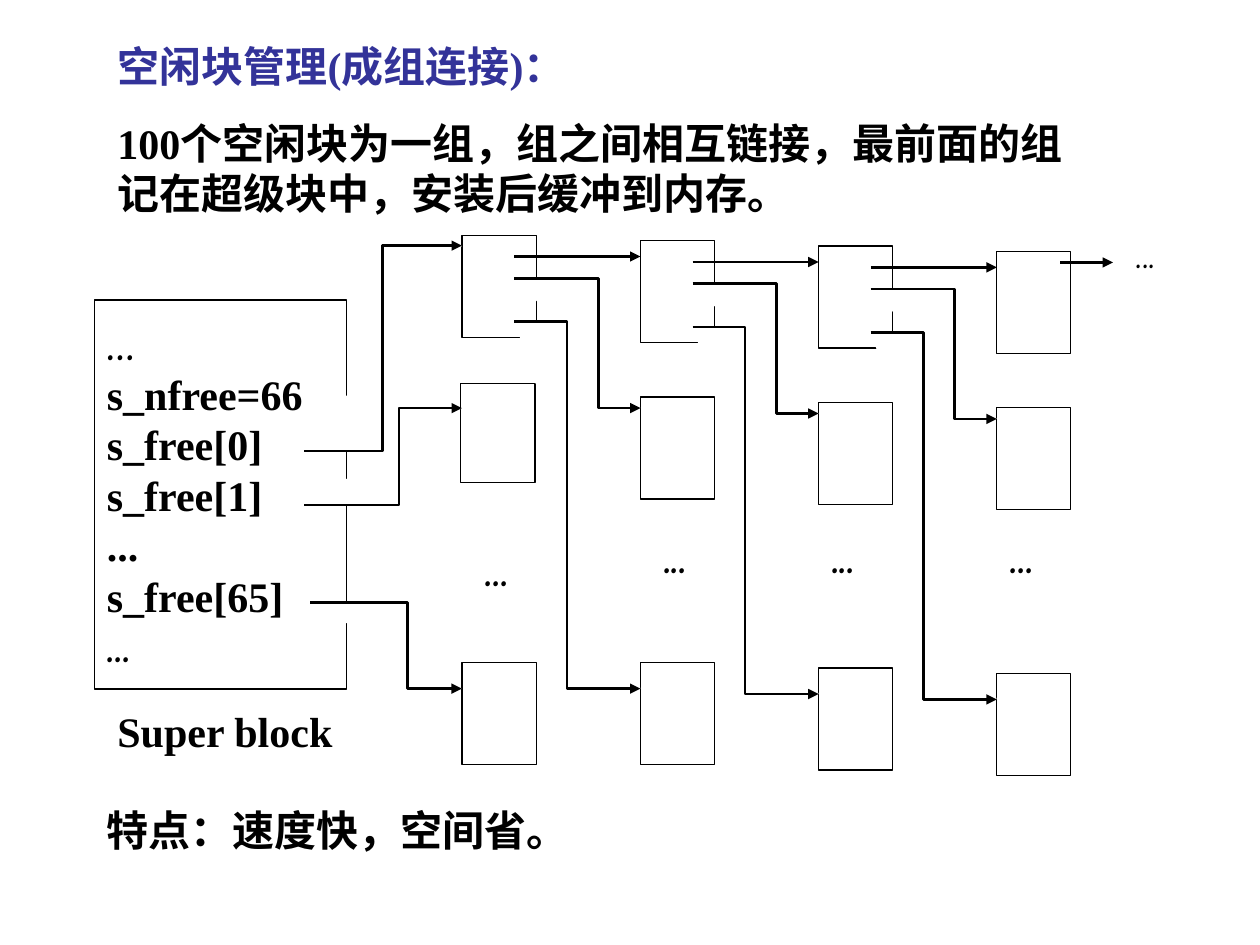
from dataclasses import dataclass
from typing import NamedTuple

from lxml.etree import SubElement
from pptx import Presentation
from pptx.dml.color import RGBColor
from pptx.enum.shapes import MSO_CONNECTOR, MSO_SHAPE
from pptx.enum.text import MSO_ANCHOR, MSO_AUTO_SIZE, PP_ALIGN
from pptx.oxml.ns import qn
from pptx.util import Pt


@dataclass(frozen=True)
class Theme:
    heading: RGBColor = RGBColor(0x33, 0x33, 0x99)
    ink: RGBColor = RGBColor(0, 0, 0)
    paper: RGBColor = RGBColor(255, 255, 255)
    text_font: str = "Times New Roman"
    dots_font: str = "Comic Neue"
    text_size: float = 24
    border: float = 0.75
    arrow: float = 1.5


class Box(NamedTuple):
    left: float
    top: float
    width: float
    height: float


class Line(NamedTuple):
    text: str
    font: str
    bold: bool = True


class Elbow(NamedTuple):
    start_x: float
    start_y: float
    bend_x: float
    end_x: float
    end_y: float

    def moved(self, right: float, down: float) -> "Elbow":
        return Elbow(self.start_x + right, self.start_y + down,
                     self.bend_x + right, self.end_x + right, self.end_y + down)


THEME = Theme()
COLUMN_PITCH = 101.8
COLUMN_DROP = 3.1
BLOCK_LEFT, BLOCK_WIDTH, BLOCK_HEIGHT = 264, 42.5, 58.3
TOP_ROW, MIDDLE_ROW, BOTTOM_ROW = 134.4, 226.8, 378.6
DOTS_WIDTH = DOTS_HEIGHT = 36

SUPER_BLOCK_LINES = [
    Line("…", THEME.dots_font),
    *[Line(text, THEME.text_font)
      for text in ("s_nfree=66", "s_free[0]", "s_free[1]", "...", "s_free[65]")],
    Line("...", THEME.dots_font),
]
SUPER_BLOCK_ELBOWS = [
    Elbow(173.8, 257.7, 218.8, 264, 140.4),
    Elbow(173.8, 288.5, 228, 264, 233.2),
    Elbow(177.2, 344.2, 233, 264, 393.5),
]
GROUP_ELBOWS = [
    Elbow(294, 159, 342, 366, 233.2),
    Elbow(294, 183.7, 324, 366, 393.5),
]


def apply_format(target, values: dict) -> None:
    for name, value in values.items():
        setattr(target, name, value)


def place(shape, box: Box) -> None:
    apply_format(shape, {name: Pt(value) for name, value in box._asdict().items()})


def write(shape, lines: list[Line], color: RGBColor = THEME.ink,
          anchor: MSO_ANCHOR = MSO_ANCHOR.TOP) -> None:
    frame = shape.text_frame
    apply_format(frame, {
        "word_wrap": True, "auto_size": MSO_AUTO_SIZE.NONE, "vertical_anchor": anchor,
        "margin_left": Pt(7.2), "margin_right": Pt(7.2),
        "margin_top": Pt(3.6), "margin_bottom": Pt(3.6),
    })
    for index, line in enumerate(lines):
        paragraph = frame.add_paragraph() if index else frame.paragraphs[0]
        paragraph.alignment = PP_ALIGN.LEFT
        run = paragraph.add_run()
        run.text = line.text
        apply_format(run.font, {
            "name": line.font, "size": Pt(THEME.text_size), "bold": line.bold})
        run.font.color.rgb = color


def add_text(slide, box: Box, line: Line) -> None:
    write(slide.shapes.add_textbox(*map(Pt, box)), [line])


def add_dots(slide, left: float, top: float, bold: bool = True) -> None:
    add_text(slide, Box(left, top, DOTS_WIDTH, DOTS_HEIGHT),
             Line("...", THEME.dots_font, bold))


def set_line(shape, width: float) -> None:
    shape.line.color.rgb = THEME.ink
    shape.line.width = Pt(width)


def add_arrowhead(shape) -> None:
    SubElement(shape.line._get_or_add_ln(), qn("a:tailEnd"), type="triangle")


def add_block(slide, box: Box):
    shape = slide.shapes.add_shape(MSO_SHAPE.RECTANGLE, *map(Pt, box))
    shape.shadow.inherit = False
    shape.fill.solid()
    shape.fill.fore_color.rgb = THEME.paper
    set_line(shape, THEME.border)
    return shape


def add_arrow(slide, start_x: float, end_x: float, y: float) -> None:
    connector = slide.shapes.add_connector(
        MSO_CONNECTOR.STRAIGHT, Pt(start_x), Pt(y), Pt(end_x), Pt(y))
    set_line(connector, THEME.arrow)
    add_arrowhead(connector)
    SubElement(connector._element.spPr, qn("a:effectLst"))


def add_elbow(slide, elbow: Elbow) -> None:
    builder = slide.shapes.build_freeform(Pt(elbow.start_x), Pt(elbow.start_y))
    builder.add_line_segments([
        (Pt(elbow.bend_x), Pt(elbow.start_y)),
        (Pt(elbow.bend_x), Pt(elbow.end_y)),
        (Pt(elbow.end_x), Pt(elbow.end_y)),
    ], close=False)
    shape = builder.convert_to_shape()
    shape.shadow.inherit = False
    shape.fill.solid()
    shape.fill.fore_color.rgb = THEME.paper
    set_line(shape, THEME.arrow)
    add_arrowhead(shape)


def add_super_block(slide) -> None:
    add_block(slide, Box(BLOCK_LEFT - 0.7, 219, BLOCK_WIDTH, 56.7))
    block = add_block(slide, Box(54, 171.4, 144, 222.3))
    write(block, SUPER_BLOCK_LINES, anchor=MSO_ANCHOR.MIDDLE)
    add_text(slide, Box(60, 399.6, 138, 36), Line("Super block", THEME.text_font))
    for top in (TOP_ROW, BOTTOM_ROW):
        add_block(slide, Box(BLOCK_LEFT, top, BLOCK_WIDTH, BLOCK_HEIGHT))
    for elbow in SUPER_BLOCK_ELBOWS:
        add_elbow(slide, elbow)


def add_group(slide, index: int) -> None:
    right, down = index * COLUMN_PITCH, index * COLUMN_DROP
    left = BLOCK_LEFT + COLUMN_PITCH + right
    for top in (MIDDLE_ROW, BOTTOM_ROW, TOP_ROW + COLUMN_DROP):
        add_block(slide, Box(left, top + down, BLOCK_WIDTH, BLOCK_HEIGHT))
    add_arrow(slide, 294 + right, 366 + right, 146.6 + down)
    for elbow in GROUP_ELBOWS:
        add_elbow(slide, elbow.moved(right, down))


def main() -> None:
    presentation = Presentation()
    presentation.slide_width, presentation.slide_height = Pt(720), Pt(540)
    slide = presentation.slides.add_slide(presentation.slide_layouts[5])
    title = slide.shapes.title
    place(title, Box(60, 19.5, 561.6, 36))
    write(title, [Line("空闲块管理(成组连接)：", THEME.text_font)], THEME.heading)
    add_text(slide, Box(60, 63.5, 561.6, 68), Line(
        "100个空闲块为一组，组之间相互链接，最前面的组记在超级块中，安装后缓冲到内存。",
        THEME.text_font))
    add_super_block(slide)
    for index in range(3):
        add_group(slide, index)
    add_arrow(slide, 606, 636, 150)
    add_dots(slide, 642, 126, bold=False)
    add_dots(slide, 270, 307.4)
    for left in (372, 468, 570):
        add_dots(slide, left, 300)
    add_text(slide, Box(54, 456, 564, 36),
             Line("特点：速度快，空间省。", THEME.text_font))
    presentation.save("out.pptx")


if __name__ == "__main__":
    main()
